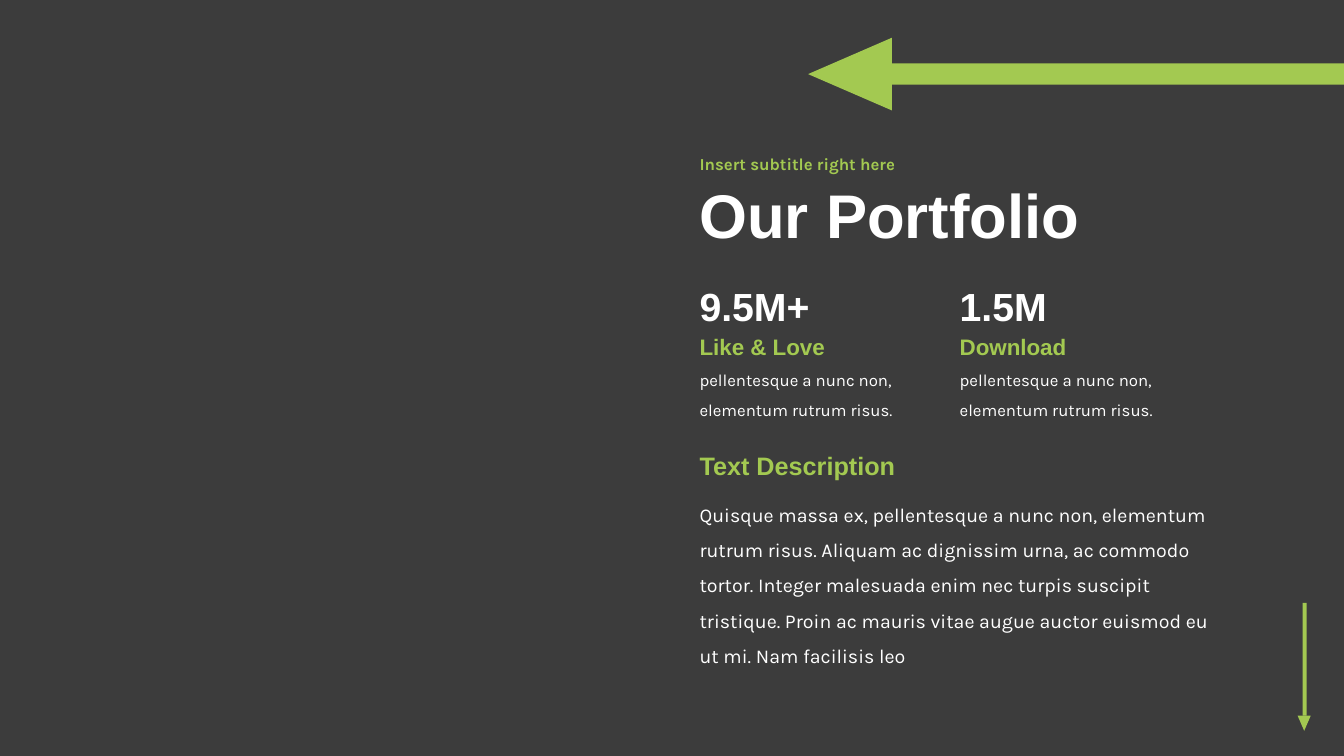
"""Builds the portfolio slide with two figures, a description and two arrows."""
from pptx import Presentation
from pptx import util as u
from pptx.dml.color import RGBColor
from pptx.enum import shapes, text

PX = 9144
COLORS = {"ground": "3C3C3C", "accent": "A3C951", "light": "FFFFFF"}
LEFT = 684
STAT_STEP = 258
STATS = [("9.5M+", "Like & Love"), ("1.5M", "Download")]
STAT_TEXT = "pellentesque a nunc non, elementum rutrum risus."
DESCRIPTION = (
    "Quisque massa ex, pellentesque a nunc non, elementum rutrum risus. "
    "Aliquam ac dignissim urna, ac commodo tortor. Integer malesuada enim nec "
    "turpis suscipit tristique. Proin ac mauris vitae augue auctor euismod eu "
    "ut mi. Nam facilisis leo"
)


def px(*lengths):
    """Turn px lengths into EMU."""
    return [u.Emu(length * PX) for length in lengths]


def color(name):
    """Return the named colour."""
    return RGBColor.from_string(COLORS[name])


def add_text(slide, words, box, size, font="Arial", ink="light", bold=True,
             spacing=1.0, anchor=text.MSO_ANCHOR.TOP):
    """Add a wrapped text box holding one formatted paragraph."""
    frame = slide.shapes.add_textbox(*px(*box)).text_frame
    frame.word_wrap = True
    frame.vertical_anchor = anchor
    paragraph = frame.paragraphs[0]
    paragraph.line_spacing = spacing
    run = paragraph.add_run()
    run.text = words
    run.font.name = font
    run.font.size = u.Pt(size)
    run.font.bold = bold
    run.font.color.rgb = color(ink)


def add_solid(slide, preset, box, rotation=0):
    """Add an accent-coloured shape without outline."""
    solid = slide.shapes.add_shape(preset, *px(*box))
    solid.rotation = rotation
    solid.shadow.inherit = False
    solid.fill.solid()
    solid.fill.fore_color.rgb = color("accent")
    solid.line.fill.background()


def add_arrow(slide, shaft, head, rotation):
    """Add an arrow made of a bar and a turned triangle."""
    add_solid(slide, shapes.MSO_SHAPE.RECTANGLE, shaft)
    add_solid(slide, shapes.MSO_SHAPE.ISOSCELES_TRIANGLE, head, rotation)


def add_stat(slide, left, figure, label):
    """Add a figure with its label and short text."""
    add_text(slide, STAT_TEXT, (left, 352, 253, 67), 12, font="Karla",
             bold=False, spacing=1.5)
    add_text(slide, label, (left, 326, 200, 37), 16, ink="accent")
    add_text(slide, figure, (left, 275, 200, 57), 28)


def main():
    """Build and save the slide."""
    deck = Presentation()
    deck.slide_width, deck.slide_height = px(1333, 750)
    slide = deck.slides.add_slide(deck.slide_layouts[6])
    slide.background.fill.solid()
    slide.background.fill.fore_color.rgb = color("ground")

    add_arrow(slide, (1292, 598, 4, 112), (1287, 710, 13, 15), 180)
    add_text(slide, "Our Portfolio", (LEFT, 165, 640, 103), 44, spacing=0.9,
             anchor=text.MSO_ANCHOR.MIDDLE)
    add_text(slide, "Insert subtitle right here", (LEFT, 145, 640, 38), 12,
             font="Karla", ink="accent", spacing=0.9,
             anchor=text.MSO_ANCHOR.MIDDLE)
    add_text(slide, DESCRIPTION, (LEFT, 482, 533, 148), 14, font="Karla",
             bold=False, spacing=1.5)
    add_text(slide, "Text Description", (LEFT, 442, 292, 40), 18, ink="accent")
    for column, (figure, label) in enumerate(STATS):
        add_stat(slide, LEFT + column * STAT_STEP, figure, label)
    add_arrow(slide, (884, 63, 449, 21), (807, 32, 72, 83), 270)

    deck.save("out.pptx")


if __name__ == "__main__":
    main()
